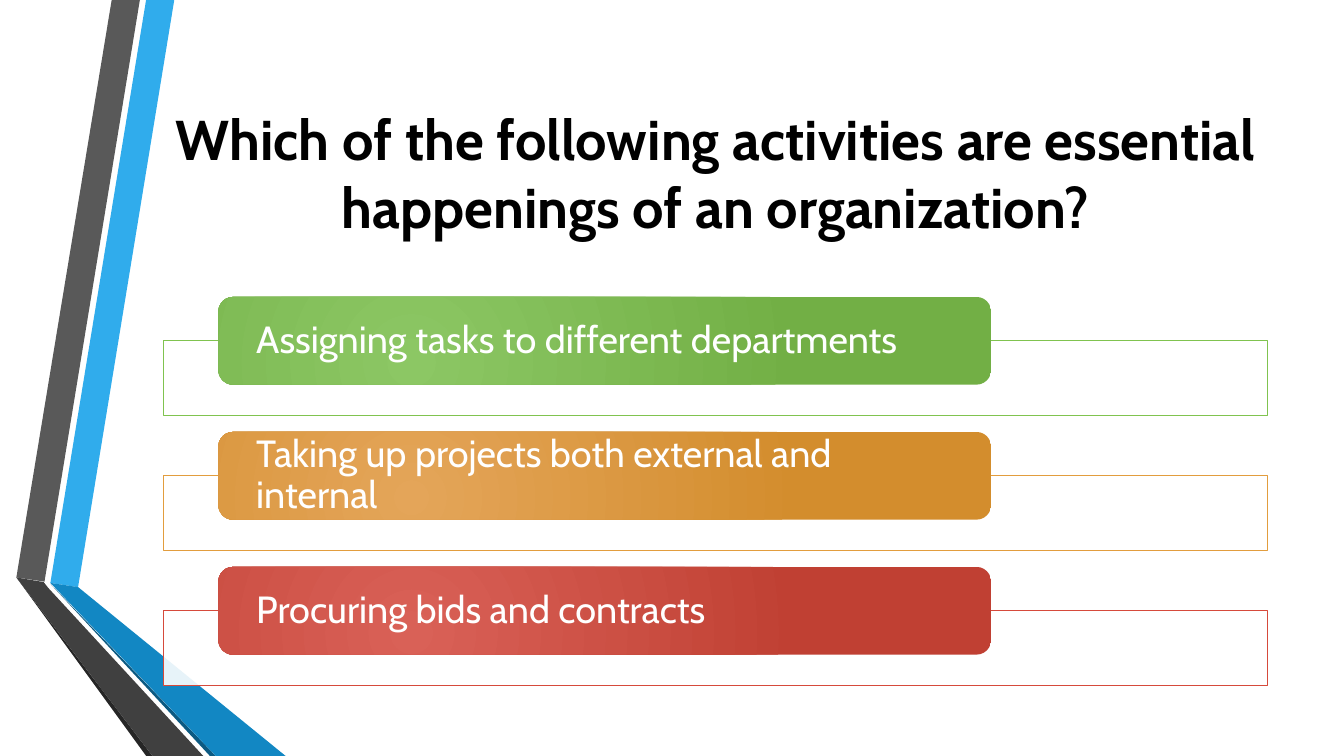
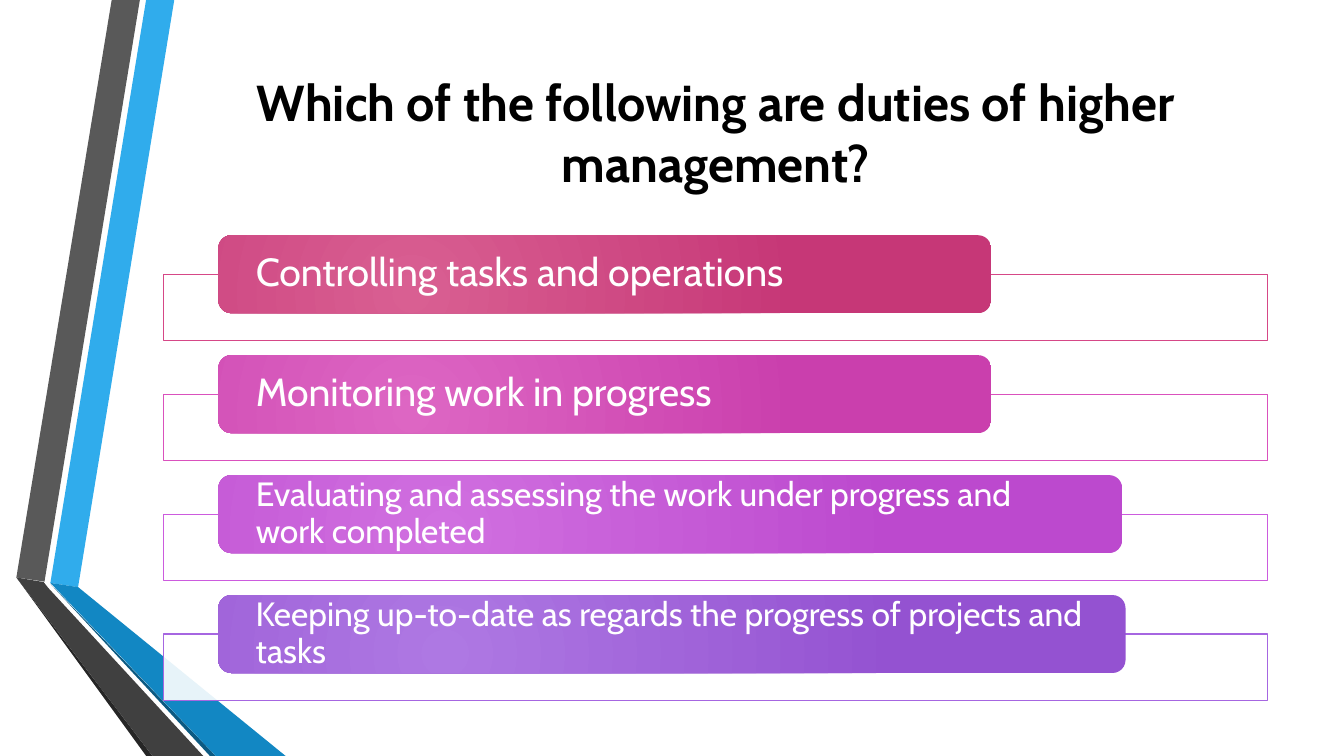
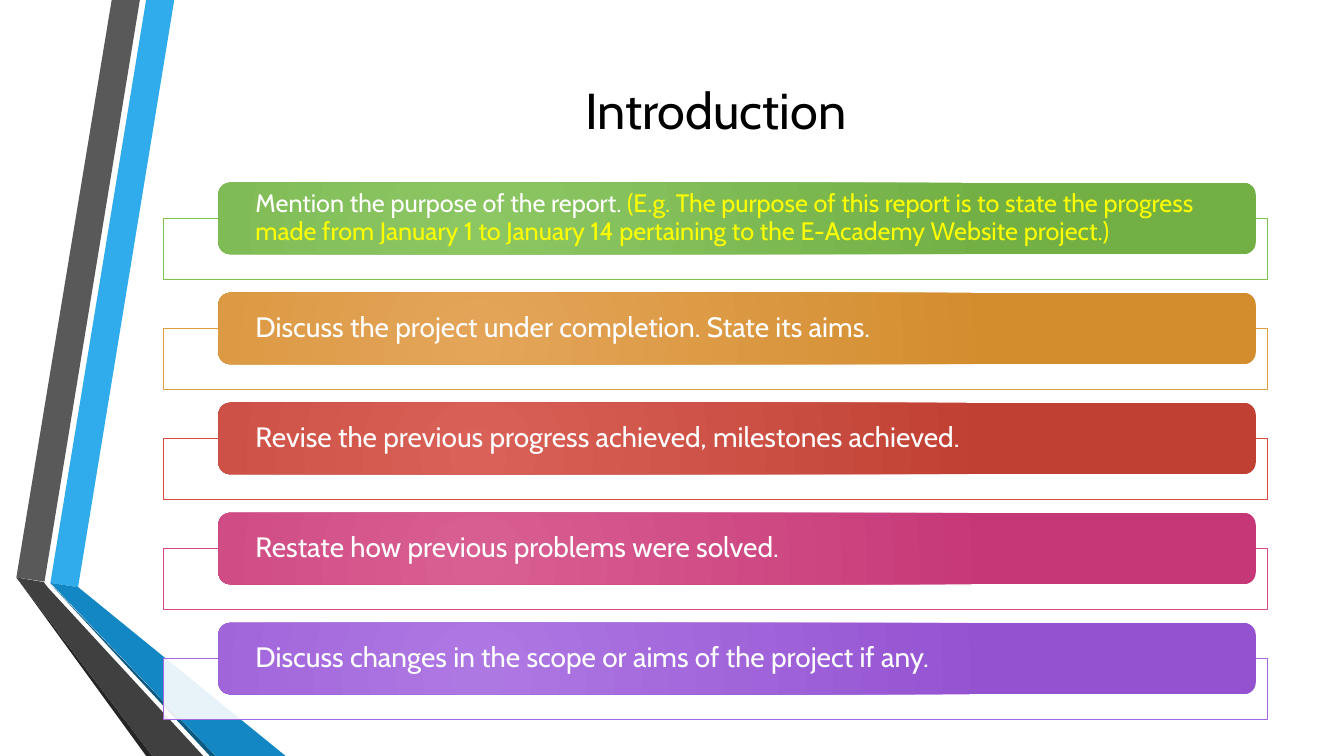
"""Builds three question and outline slides with stacked colour bars beside a folded ribbon."""
from lxml import etree
from pptx import Presentation
from pptx import util as u
from pptx.dml.color import RGBColor
from pptx.enum import shapes, text
from pptx.oxml.ns import qn

CELL = u.Inches(1) / 12
COLUMNS, ROWS = 160, 90
FONT = "Cabin"

WHITE = RGBColor(0xFF, 0xFF, 0xFF)
BLACK = RGBColor(0x00, 0x00, 0x00)
YELLOW = RGBColor(0xFF, 0xFF, 0x00)
SKY = RGBColor(0x30, 0xAC, 0xEC)
BLUE = RGBColor(0x12, 0x87, 0xC3)
NAVY = RGBColor(0x0C, 0x5A, 0x82)
GREY = RGBColor(0x59, 0x59, 0x59)
CHARCOAL = RGBColor(0x40, 0x40, 0x40)
SOOT = RGBColor(0x26, 0x26, 0x26)

# each hue: outline, light end, deep end
GREEN = RGBColor(0x80, 0xC3, 0x4F), RGBColor(0x8C, 0xC7, 0x64), RGBColor(0x72, 0xAF, 0x45)
ORANGE = RGBColor(0xE2, 0x9D, 0x3E), RGBColor(0xE4, 0xA5, 0x59), RGBColor(0xD3, 0x8D, 0x2D)
RED = RGBColor(0xD6, 0x4A, 0x3B), RGBColor(0xD9, 0x61, 0x57), RGBColor(0xC0, 0x40, 0x33)
ROSE = RGBColor(0xD6, 0x47, 0x87), RGBColor(0xD9, 0x5F, 0x92), RGBColor(0xC6, 0x37, 0x77)
PINK = RGBColor(0xDA, 0x51, 0xBD), RGBColor(0xDD, 0x66, 0xC3), RGBColor(0xCA, 0x3F, 0xAD)
ORCHID = RGBColor(0xCC, 0x5B, 0xDE), RGBColor(0xD0, 0x6F, 0xE0), RGBColor(0xBC, 0x49, 0xCE)
VIOLET = RGBColor(0xA6, 0x66, 0xE1), RGBColor(0xAE, 0x78, 0xE3), RGBColor(0x94, 0x52, 0xD1)

RIBBON = [
    (SKY, [(6, 69.4), (9.3, 69.9), (20.75, 0), (17.4, 0)]),
    (GREY, [(16.65, 0), (13.3, 0), (1.95, 68.75), (5.3, 69.25)]),
    (SOOT, [(1.95, 68.75), (17.4, 90), (18.15, 90)]),
    (NAVY, [(6, 69.5), (25, 90), (25.7, 90)]),
    (BLUE, [(6, 69.4), (25.7, 90), (34, 90), (9.3, 69.9)]),
    (CHARCOAL, [(24.2, 90), (5.75, 70), (5.2, 69.3), (1.95, 68.75), (18.15, 90)]),
]


def cells(*counts):
    return [u.Emu(round(count * CELL)) for count in counts]


def write(shape, runs, size, bold=False, align=text.PP_ALIGN.LEFT, spacing=1.0, insets=None):
    frame = shape.text_frame
    frame.word_wrap = True
    frame.vertical_anchor = text.MSO_ANCHOR.MIDDLE
    if insets:
        frame.margin_left, frame.margin_top, frame.margin_right, frame.margin_bottom = cells(*insets)
    paragraph = frame.paragraphs[0]
    paragraph.alignment = align
    paragraph.line_spacing = spacing
    for wording, color in runs:
        run = paragraph.add_run()
        run.text = wording
        run.font.name = FONT
        run.font.size = u.Pt(size)
        run.font.bold = bold
        run.font.color.rgb = color


class Deck:
    LEFT, WIDTH = 19.45, 131.5
    BAR_LEFT = 26
    BAR_SHARE, PANEL_SHARE = 0.65, 0.555

    def __init__(self):
        self.presentation = Presentation()
        self.presentation.slide_width, self.presentation.slide_height = cells(COLUMNS, ROWS)
        self.slide = None

    def new_slide(self, title, title_rows, size, bold=True):
        self.slide = self.presentation.slides.add_slide(self.presentation.slide_layouts[6])
        for color, points in RIBBON:
            self.ribbon_face(color, points)
        box = self.slide.shapes.add_textbox(*cells(self.LEFT, 9, self.WIDTH, title_rows))
        write(box, [(title, BLACK)], size, bold=bold, align=text.PP_ALIGN.CENTER)

    def ribbon_face(self, color, points):
        corners = [cells(*point) for point in points]
        builder = self.slide.shapes.build_freeform(*corners[0])
        builder.add_line_segments(corners[1:], close=True)
        face = builder.convert_to_shape()
        face.shadow.inherit = False
        face.fill.solid()
        face.fill.fore_color.rgb = color
        face.line.fill.background()

    def block(self, kind, *place):
        shape = self.slide.shapes.add_shape(kind, *cells(*place))
        shape.shadow.inherit = False
        return shape

    def panel(self, top, height, outline):
        panel = self.block(shapes.MSO_SHAPE.RECTANGLE, self.LEFT, top, self.WIDTH, height)
        panel.fill.solid()
        panel.fill.fore_color.rgb = WHITE
        color = panel._element.spPr.find(qn("a:solidFill"))[0]
        etree.SubElement(color, qn("a:alpha"), val="90000")
        panel.line.color.rgb = outline
        panel.line.width = u.Pt(0.75)

    def bar(self, top, width, height, light, deep):
        bar = self.block(shapes.MSO_SHAPE.ROUNDED_RECTANGLE, self.BAR_LEFT, top, width, height)
        bar.line.fill.background()
        bar.fill.gradient()
        for stop, color in zip(bar.fill.gradient_stops, (light, deep)):
            stop.color.rgb = color
        gradient = bar._element.spPr.find(qn("a:gradFill"))
        linear = gradient.find(qn("a:lin"))
        radial = etree.Element(qn("a:path"), path="circle")
        etree.SubElement(radial, qn("a:fillToRect"), l="50000", t="100000", r="100000", b="50000")
        gradient.replace(linear, radial)
        return bar

    def bar_list(self, top, pitch, items):
        height = pitch * self.BAR_SHARE
        for index, (hue, width, size, *runs) in enumerate(items):
            outline, light, deep = hue
            bar_top = top + index * pitch
            self.panel(bar_top + height / 2, pitch * self.PANEL_SHARE, outline)
            bar = self.bar(bar_top, width, height, light, deep)
            write(bar, runs, size, spacing=0.9, insets=(4, 0, 4, 0))


def main():
    deck = Deck()

    deck.new_slide("Which of the following activities are essential happenings of an organization?", 23, 40)
    deck.bar_list(35.35, 16.07, [
        (GREEN, 92, 27, ("Assigning tasks to different departments", WHITE)),
        (ORANGE, 92, 27, ("Taking up projects both external and internal", WHITE)),
        (RED, 92, 27, ("Procuring bids and contracts", WHITE)),
    ])

    deck.new_slide("Which of the following are duties of higher management?", 13.4, 36)
    deck.bar_list(28, 14.28, [
        (ROSE, 92, 28, ("Controlling tasks and operations", WHITE)),
        (PINK, 92, 28, ("Monitoring work in progress", WHITE)),
        (ORCHID, 107.6, 24, ("Evaluating and assessing the work under progress and work completed", WHITE)),
        (VIOLET, 108, 24, ("Keeping up-to-date as regards the progress of projects and tasks", WHITE)),
    ])

    deck.new_slide("Introduction", 8, 36, bold=False)
    deck.bar_list(21.75, 13.1, [
        (GREEN, 123.5, 18, ("Mention the purpose of the report. ", WHITE),
         ("(E.g. The purpose of this report is to state the progress made from January 1 "
          "to January 14 pertaining to the E-Academy Website project.)", YELLOW)),
        (ORANGE, 123.5, 20, ("Discuss the project under completion. State its aims.", WHITE)),
        (RED, 123.5, 20, ("Revise the previous progress achieved, milestones achieved.", WHITE)),
        (ROSE, 123.5, 20, ("Restate how previous problems were solved.", WHITE)),
        (VIOLET, 123.5, 20, ("Discuss changes in the scope or aims of the project if any.", WHITE)),
    ])

    deck.presentation.save("out.pptx")


if __name__ == "__main__":
    main()
